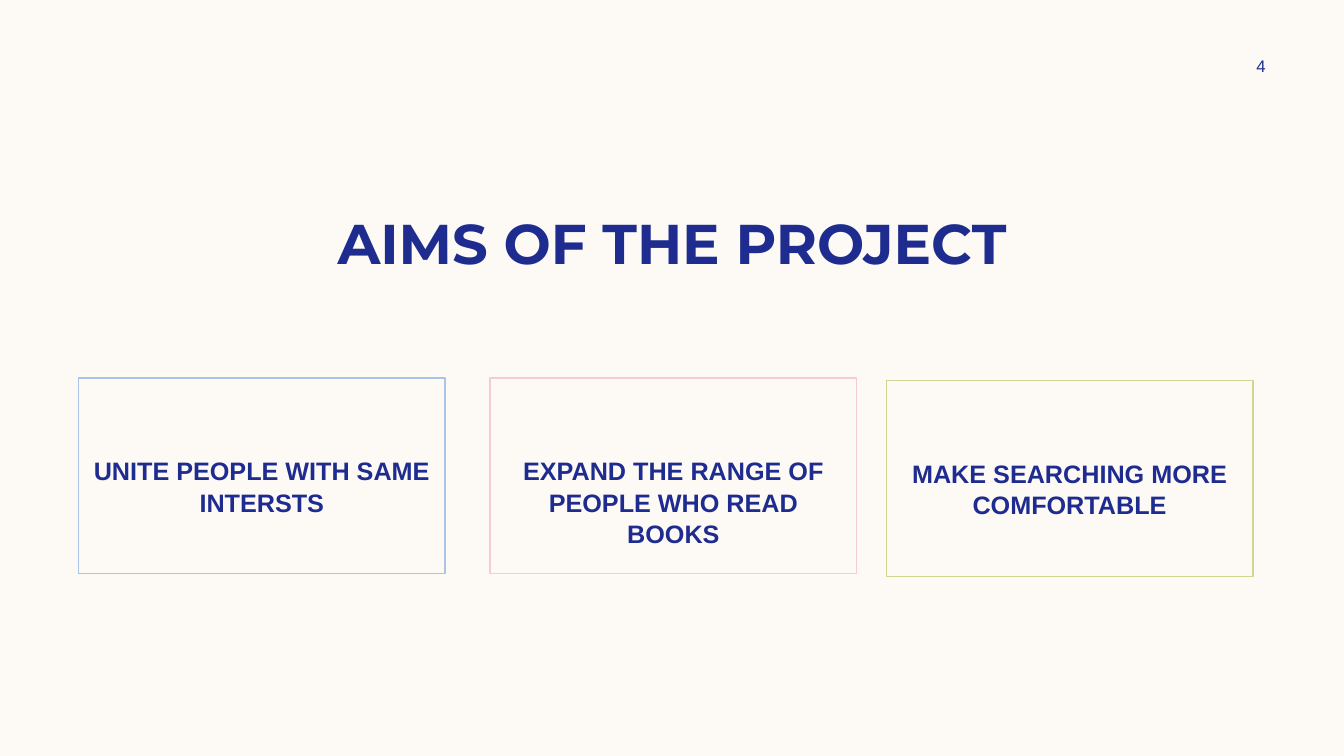
from pptx import Presentation
from pptx.dml.color import RGBColor
from pptx.enum.shapes import MSO_SHAPE
from pptx.enum.text import MSO_ANCHOR, PP_ALIGN
from pptx.util import Pt

RECTANGLE = MSO_SHAPE.RECTANGLE
TOP, MIDDLE = MSO_ANCHOR.TOP, MSO_ANCHOR.MIDDLE
CENTER = PP_ALIGN.CENTER

CREAM = RGBColor(0xFD, 0xFA, 0xF6)
NAVY = RGBColor(0x1F, 0x2C, 0x8F)
BLUE = RGBColor(0xAA, 0xC3, 0xE8)
PINK = RGBColor(0xF5, 0xCD, 0xCE)
GREEN = RGBColor(0xD2, 0xD5, 0x92)

# Content: each aim has its text, outline colour, left and top
TITLE = "AIMS OF THE PROJECT"
PAGE_NUMBER = "4"
AIMS = [
    ("UNITE PEOPLE WITH SAME INTERSTS", BLUE, 56, 270),
    ("EXPAND THE RANGE OF PEOPLE WHO READ BOOKS", PINK, 350, 270),
    ("MAKE SEARCHING MORE COMFORTABLE", GREEN, 633, 272),
]
CARD_WIDTH, CARD_HEIGHT = 262, 139.7
CARD_TEXT_INSET = 54


def write(box, text, font_name, size, bold, anchor):
    frame = box.text_frame
    frame.word_wrap = True
    frame.vertical_anchor = anchor
    para = frame.paragraphs[0]
    para.text = text
    para.alignment = CENTER
    para.font.name = font_name
    para.font.size = Pt(size)
    para.font.bold = bold
    para.font.color.rgb = NAVY
    return frame


deck = Presentation()
deck.slide_width, deck.slide_height = Pt(960), Pt(540)
page = deck.slides.add_slide(deck.slide_layouts[6])
page.background.fill.solid()
page.background.fill.fore_color.rgb = CREAM

# Title and page number
title = page.shapes.add_textbox(Pt(60), Pt(142.5), Pt(840), Pt(60.5))
write(title, TITLE, "Montserrat", 40, True, MIDDLE)
number = page.shapes.add_textbox(Pt(862), Pt(36), Pt(77.5), Pt(21.6))
write(number, PAGE_NUMBER, "Arial", 12, False, MIDDLE)

# Outlined aim cards
for text, outline, left, top in AIMS:
    card = page.shapes.add_shape(
        RECTANGLE, Pt(left), Pt(top), Pt(CARD_WIDTH), Pt(CARD_HEIGHT))
    card.shadow.inherit = False
    card.fill.background()
    card.line.color.rgb = outline
    card.line.width = Pt(1)
    frame = write(card, text, "Arial", 18, True, TOP)
    frame.margin_top = Pt(CARD_TEXT_INSET)
    frame.paragraphs[0].line_spacing = 1.05

deck.save("out.pptx")
